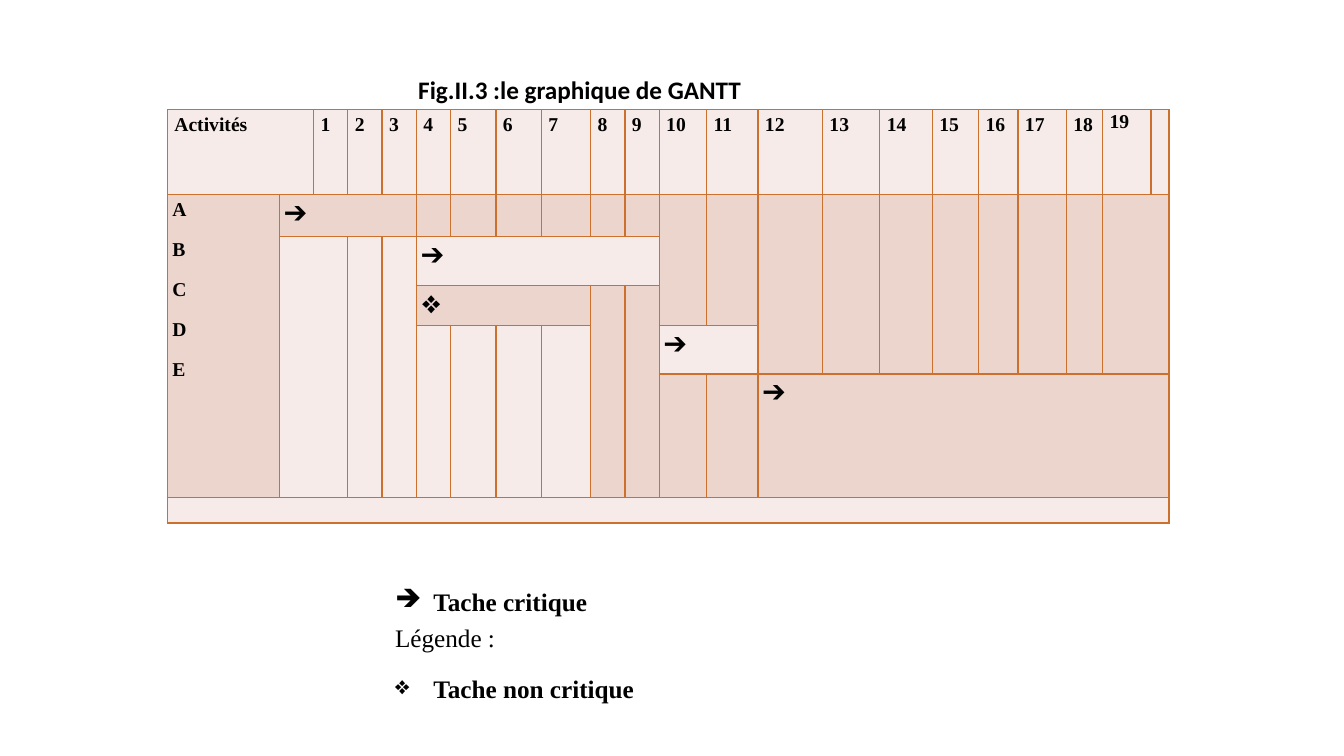
"""Builds a slide with a Gantt chart table and its legend."""
from lxml import etree
from pptx import Presentation
from pptx import util as u
from pptx.dml.color import RGBColor
from pptx.enum import text
from pptx.oxml.ns import qn

TITLE = "Fig.II.3\u00a0:le graphique de GANTT"
ACTIVITIES = ["A", "B", "C", "D", "E"]
PERIODS = [str(number) for number in range(1, 20)]
CRITICAL, FLEXIBLE = "➔", "❖"
LEGEND = [
    ("Tache critique", CRITICAL, True, 0),
    ("Légende\u00a0:", None, False, 10),
    ("Tache non critique", FLEXIBLE, True, 10),
]
TASKS = [
    (1, 1, 4, CRITICAL),
    (2, 5, 6, CRITICAL),
    (3, 5, 4, FLEXIBLE),
    (4, 11, 2, CRITICAL),
    (5, 13, 9, CRITICAL),
]
TALL_CELLS = [
    (1, 5, [0]),
    (1, 3, [11, 12]),
    (1, 4, range(13, 20)),
    (2, 4, [3, 4]),
    (3, 3, [9, 10]),
    (4, 2, range(5, 9)),
]
WIDE_CELLS = [(0, 0, 1, 2), (1, 20, 4, 2), (2, 1, 4, 2), (6, 0, 1, 22)]
COLUMNS = [1.11, 0.34, 0.34, 0.34, 0.34, 0.34, 0.45, 0.45, 0.49, 0.34, 0.34,
           0.47, 0.51, 0.64, 0.57, 0.52, 0.46, 0.39, 0.48, 0.36, 0.48, 0.1]
ROWS = [0.84, 0.42, 0.48, 0.4, 0.48, 1.23, 0.25]

THEME = {
    "light": "F6EBE8", "dark": "ECD5CD", "line": "CC702D", "ink": "000000",
    "title_font": "Calibri", "body_font": "Times New Roman",
    "large": 18, "small": 14, "tiny": 10,
}


def style(para, size, font, bold=True, spacing=1.2, after=10):
    para.line_spacing = spacing
    para.space_before = u.Pt(0)
    para.space_after = u.Pt(after)
    for span in para.runs:
        span.font.size = u.Pt(size)
        span.font.name = font
        span.font.bold = bold
        span.font.color.rgb = RGBColor.from_string(THEME["ink"])


def add_bullet(para, symbol):
    props = para._p.get_or_add_pPr()
    props.set("marL", str(u.Inches(0.38)))
    props.set("indent", str(u.Inches(-0.38)))
    etree.SubElement(props, qn("a:buChar")).set("char", symbol)


def add_borders(cell):
    props = cell._tc.get_or_add_tcPr()
    for index, side in enumerate(("lnL", "lnR", "lnT", "lnB")):
        line = etree.Element(qn("a:" + side), w=str(u.Pt(1)))
        fill = etree.SubElement(line, qn("a:solidFill"))
        etree.SubElement(fill, qn("a:srgbClr")).set("val", THEME["line"])
        props.insert(index, line)


def prepare_cell(cell, row):
    cell.fill.solid()
    shade = THEME["dark" if row % 2 else "light"]
    cell.fill.fore_color.rgb = RGBColor.from_string(shade)
    cell.margin_left = cell.margin_right = u.Inches(0.05 if row else 0.07)
    cell.margin_top = cell.margin_bottom = 0
    if not cell.is_spanned:
        add_borders(cell)
    if not cell.text_frame.text:
        end = etree.SubElement(cell.text_frame.paragraphs[0]._p, qn("a:endParaRPr"))
        end.set("sz", str(THEME["tiny"] * 100))


def add_gantt(page):
    frame = page.shapes.add_table(len(ROWS), len(COLUMNS), u.Inches(1.66), u.Inches(1.09),
                                  u.Inches(sum(COLUMNS)), u.Inches(sum(ROWS)))
    table = frame.table
    for column, width in zip(table.columns, COLUMNS):
        column.width = u.Inches(width)
    for row, height in zip(table.rows, ROWS):
        row.height = u.Inches(height)

    merges = WIDE_CELLS + [(row, left, 1, span) for row, left, span, _ in TASKS]
    merges += [(row, left, span, 1) for row, span, lefts in TALL_CELLS for left in lefts]
    for row, left, height, width in merges:
        table.cell(row, left).merge(table.cell(row + height - 1, left + width - 1))

    labels = [(0, 0, "Activités"), (1, 0, "\n".join(ACTIVITIES))]
    labels += [(0, column, period) for column, period in enumerate(PERIODS, 2)]
    for row, column, label in labels:
        frame_text = table.cell(row, column).text_frame
        frame_text.text = label
        last = label == PERIODS[-1]
        for para in frame_text.paragraphs:
            style(para, THEME["small"], THEME["body_font"],
                  spacing=1.07 if last else 1.2, after=8 if last else 10)
    for row, column, _, symbol in TASKS:
        para = table.cell(row, column).text_frame.paragraphs[0]
        para.text = symbol
        style(para, THEME["large"], THEME["body_font"], bold=False, after=0)

    for row in range(len(ROWS)):
        for column in range(len(COLUMNS)):
            prepare_cell(table.cell(row, column), row)


def add_box(page, left, top, width, height, content):
    box = page.shapes.add_textbox(*map(u.Inches, (left, top, width, height)))
    box.text_frame.word_wrap = True
    box.text_frame.text = content
    return box.text_frame.paragraphs


def main():
    deck = Presentation()
    deck.slide_width, deck.slide_height = u.Inches(13.33), u.Inches(7.5)
    page = deck.slides.add_slide(deck.slide_layouts[6])
    add_gantt(page)
    title = add_box(page, 4.05, 0.63, 3.47, 0.46, TITLE)[0]
    style(title, THEME["large"], THEME["title_font"])
    legend = add_box(page, 3.82, 5.71, 9.2, 1.37, "\n".join(item[0] for item in LEGEND))
    for para, (_, symbol, bold, after) in zip(legend, LEGEND):
        style(para, THEME["large"], THEME["body_font"], bold, after=after)
        para.alignment = text.PP_ALIGN.JUSTIFY
        if symbol:
            add_bullet(para, symbol)
    deck.save("out.pptx")


if __name__ == "__main__":
    main()
